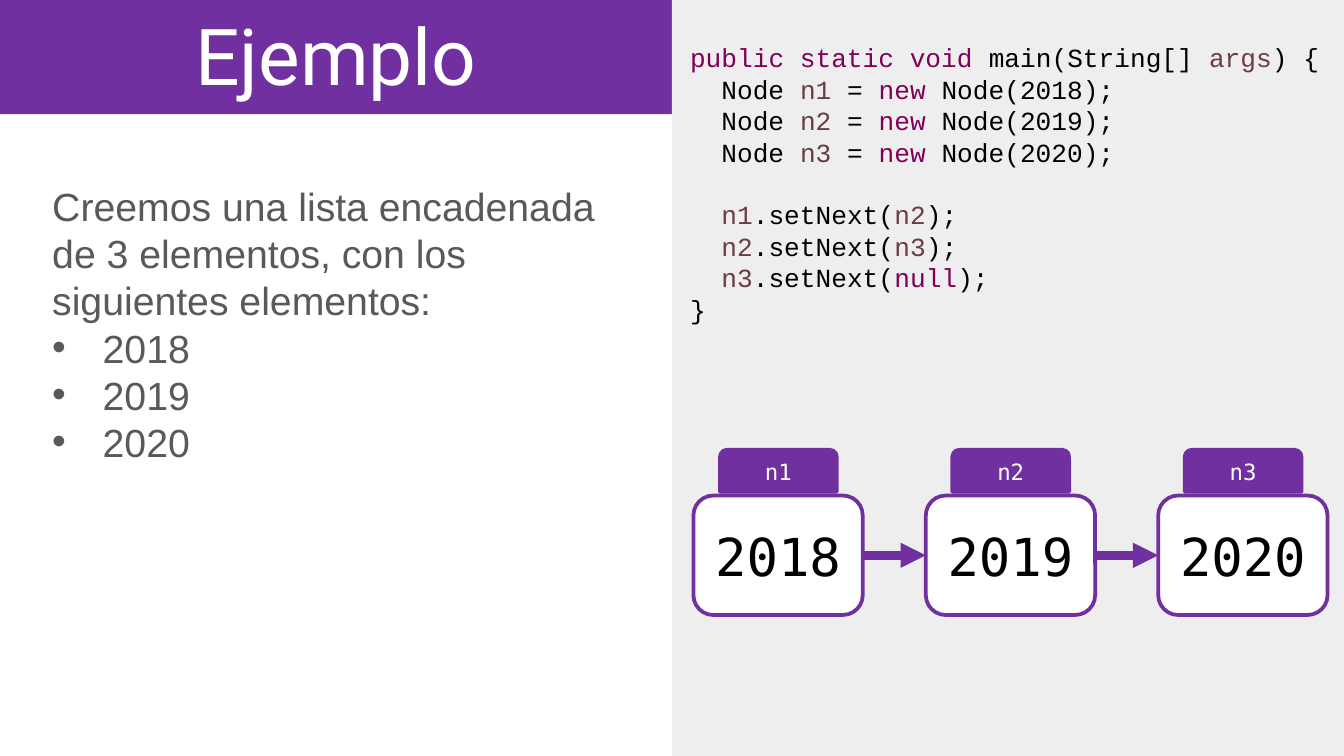
from pptx import Presentation
from pptx.dml.color import RGBColor
from pptx.enum.shapes import MSO_CONNECTOR, MSO_SHAPE as SHAPE
from pptx.enum.text import MSO_ANCHOR as ANCHOR, MSO_AUTO_SIZE, PP_ALIGN as ALIGN
from pptx.oxml.ns import qn
from pptx.util import Pt
from lxml.etree import SubElement

PURPLE, PANEL, WHITE, BLACK, GRAY = "7030A0", "EEEEEE", "FFFFFF", "000000", "595959"
KEYWORD, VARIABLE = "7F0055", "6A3E3E"
YEARS = ("2018", "2019", "2020")
CODE_SIZE = 14
CODE_INDENT = 2 * 0.6 * CODE_SIZE  # two characters of a fixed-width font


def rgb(hex_color):
    return RGBColor.from_string(hex_color)


def indent(paragraph, left, first=0):
    properties = paragraph._p.get_or_add_pPr()
    properties.set("marL", str(Pt(left)))
    properties.set("indent", str(Pt(first)))
    return properties


class Deck:
    body_font, title_font = "Arial", "Roboto"
    code_font, node_font = "Courier New", "DejaVu Sans Mono"

    def __init__(self, width, height):
        self.presentation = Presentation()
        self.presentation.slide_width = Pt(width)
        self.presentation.slide_height = Pt(height)
        self.slide = self.presentation.slides.add_slide(self.presentation.slide_layouts[5])

    def style(self, run, font, size, color):
        run.font.name, run.font.size = font, Pt(size)
        run.font.color.rgb = rgb(color)

    def centered(self, shape, text, font, size, color, anchor=ANCHOR.MIDDLE):
        frame = shape.text_frame
        frame.text = text
        frame.vertical_anchor = anchor
        paragraph = frame.paragraphs[0]
        paragraph.alignment = ALIGN.CENTER
        self.style(paragraph.runs[0], font, size, color)

    def title(self, text, *box):
        title = self.slide.shapes.title
        title.left, title.top, title.width, title.height = map(Pt, box)
        title.fill.solid()
        title.fill.fore_color.rgb = rgb(PURPLE)
        self.centered(title, text, self.title_font, 42, WHITE, ANCHOR.BOTTOM)
        frame = title.text_frame
        frame.auto_size = MSO_AUTO_SIZE.NONE
        frame.margin_top = frame.margin_bottom = Pt(7.2)

    def shape(self, kind, box, fill, line=None, parent=None):
        shape = (parent or self.slide).shapes.add_shape(kind, *map(Pt, box))
        shape.shadow.inherit = False
        shape.fill.solid()
        shape.fill.fore_color.rgb = rgb(fill)
        if line:
            shape.line.color.rgb = rgb(line)
            shape.line.width = Pt(2)
        else:
            shape.line.fill.background()
        return shape

    def text_box(self, *box):
        frame = self.slide.shapes.add_textbox(*map(Pt, box)).text_frame
        frame.word_wrap = True
        return frame

    def body(self, intro, items, *box):
        frame = self.text_box(*box)
        frame.margin_top = frame.margin_bottom = Pt(7.2)
        frame.text = "\n".join((intro, *items))
        for paragraph in frame.paragraphs:
            paragraph.line_spacing = Pt(25.2)
            self.style(paragraph.runs[0], self.body_font, 21, GRAY)
        for paragraph in frame.paragraphs[1:]:
            properties = indent(paragraph, 27, -27)
            bullet_color = SubElement(properties, qn("a:buClr"))
            SubElement(bullet_color, qn("a:srgbClr"), val=GRAY)
            SubElement(properties, qn("a:buFont"), typeface=self.body_font)
            SubElement(properties, qn("a:buChar"), char="•")

    def code(self, blocks, *box):
        """Each block is a list of (indent level, [(text, color), ...])."""
        frame = self.text_box(*box)
        pitch = 1.2 * CODE_SIZE
        paragraph = frame.paragraphs[0]
        for block_number, block in enumerate(blocks):
            for line_number, (level, parts) in enumerate(block):
                if block_number or line_number:
                    paragraph = frame.add_paragraph()
                paragraph.line_spacing = Pt(pitch)
                if block_number and not line_number:
                    paragraph.space_before = Pt(pitch)
                indent(paragraph, level * CODE_INDENT)
                for text, color in parts:
                    run = paragraph.add_run()
                    run.text = text
                    self.style(run, self.code_font, CODE_SIZE, color)

    def node(self, name, value, left, top):
        group = self.slide.shapes.add_group_shape()
        cell = self.shape(SHAPE.ROUNDED_RECTANGLE, (left, top, 90.7, 64), WHITE, PURPLE, group)
        self.centered(cell, value, self.node_font, 28, BLACK)
        tab = self.shape(SHAPE.ROUND_2_SAME_RECTANGLE, (left + 14.2, top - 24.5, 62.6, 22.5),
                         PURPLE, PURPLE, group)
        self.centered(tab, name, self.node_font, 12, WHITE)
        return cell

    def arrow(self, source, target):
        arrow = self.slide.shapes.add_connector(MSO_CONNECTOR.STRAIGHT, 0, 0, 0, 0)
        arrow.begin_connect(source, 3)
        arrow.end_connect(target, 1)
        arrow.line.color.rgb = rgb(PURPLE)
        arrow.line.width = Pt(4.5)
        SubElement(arrow.line._get_or_add_ln(), qn("a:tailEnd"), type="triangle")
        SubElement(arrow._element.spPr, qn("a:effectLst"))


def declaration(name, year):
    return 1, [("Node ", BLACK), (name, VARIABLE), (" = ", BLACK),
               ("new", KEYWORD), (f" Node({year});", BLACK)]


def link(name, following):
    color = KEYWORD if following == "null" else VARIABLE
    return 1, [(name, VARIABLE), (".setNext(", BLACK), (following, color), (");", BLACK)]


def main():
    deck = Deck(720, 405)
    deck.shape(SHAPE.RECTANGLE, (360, 0, 360, 405), PANEL)
    deck.title("Ejemplo", 0, 0, 360, 61.2)
    deck.body("Creemos una lista encadenada de 3 elementos, con los siguientes elementos:",
              YEARS, 20.9, 90.7, 318.2, 280)

    names = [f"n{number}" for number in range(1, len(YEARS) + 1)]
    cells = [deck.node(name, year, 371.5 + 124.5 * column, 265.5)
             for column, (name, year) in enumerate(zip(names, YEARS))]
    for source, target in zip(cells, cells[1:]):
        deck.arrow(source, target)

    signature = 0, [("public static void", KEYWORD), (" main(String[] ", BLACK),
                    ("args", VARIABLE), (") {", BLACK)]
    declarations = [declaration(name, year) for name, year in zip(names, YEARS)]
    links = [link(name, following) for name, following in zip(names, names[1:] + ["null"])]
    deck.code([[signature, *declarations], [*links, (0, [("}", BLACK)])]],
              362.6, 18.9, 360, 160)
    deck.presentation.save("out.pptx")


if __name__ == "__main__":
    main()
